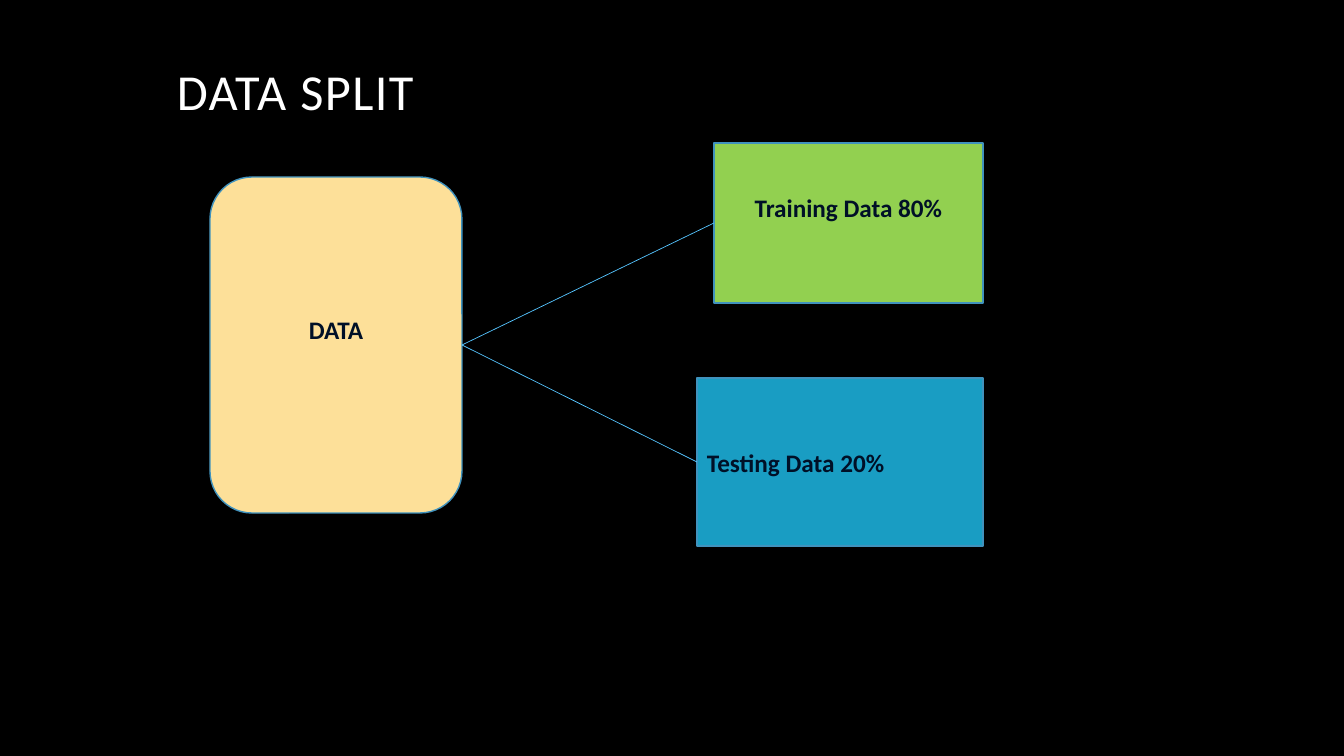
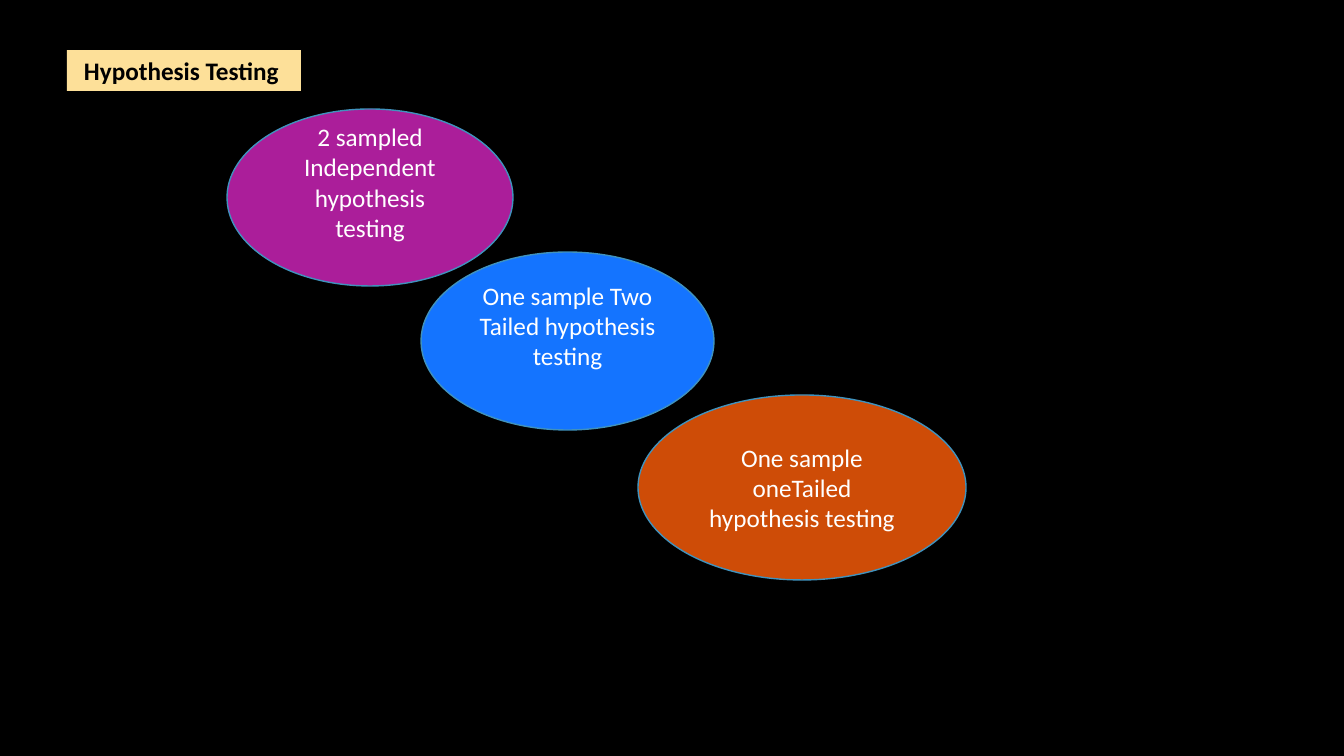
from pptx import Presentation
from pptx.dml.color import RGBColor
from pptx.enum.shapes import MSO_CONNECTOR, MSO_SHAPE
from pptx.enum.text import MSO_ANCHOR, MSO_AUTO_SIZE, PP_ALIGN
from pptx.oxml.ns import qn
from pptx.util import Emu, Pt

EMU_PER_PX = 914400 / 100.8
FONT = "Calibri"
BLACK, WHITE, INK = "000000", "FFFFFF", "001027"
CREAM, GREEN, TEAL = "FDE099", "92D050", "199DC3"
PURPLE, BLUE, ORANGE = "AB1E9A", "1474FF", "CE4C07"
OUTLINE, LINK = "4092BD", "56C5FF"
TITLE_ONLY = 5
LEFT, RIGHT = 1, 3
RAISED = 36  # bottom inset that lifts a label by half a line


def px(length):
    return Emu(round(length * EMU_PER_PX))


def rgb(color):
    return RGBColor.from_string(color)


def paint(target, color):
    target.fill.solid()
    target.fill.fore_color.rgb = rgb(color)


def write(shape, text, size=18, color=WHITE, bold=False, align=PP_ALIGN.CENTER,
          anchor=MSO_ANCHOR.MIDDLE, wrap=True, insets=(10, 5, 10, 5),
          line_spacing=None, tracking=None):
    """Fill a shape with one paragraph; insets run left, top, right, bottom."""
    frame = shape.text_frame
    frame.auto_size = MSO_AUTO_SIZE.NONE
    frame.word_wrap = wrap
    frame.vertical_anchor = anchor
    (frame.margin_left, frame.margin_top,
     frame.margin_right, frame.margin_bottom) = map(px, insets)
    paragraph = frame.paragraphs[0]
    paragraph.alignment = align
    paragraph.line_spacing = line_spacing
    run = paragraph.add_run()
    run.text = text
    run.font.name = FONT
    run.font.size = Pt(size)
    run.font.bold = bold
    run.font.color.rgb = rgb(color)
    if tracking:
        run.font._element.set("spc", str(tracking * 100))


def add_titled_slide(prs, title, box, fill=None, **text_format):
    slide = prs.slides.add_slide(prs.slide_layouts[TITLE_ONLY])
    heading = slide.shapes.title
    heading.left, heading.top, heading.width, heading.height = map(px, box)
    if fill:
        paint(heading, fill)
    write(heading, title, align=PP_ALIGN.LEFT, **text_format)
    return slide


def add_node(slide, kind, box, fill, text, **text_format):
    node = slide.shapes.add_shape(kind, *map(px, box))
    node.shadow.inherit = False
    paint(node, fill)
    node.line.color.rgb = rgb(OUTLINE)
    node.line.width = Pt(1)
    write(node, text, **text_format)
    return node


def link(slide, source, target):
    line = slide.shapes.add_connector(MSO_CONNECTOR.STRAIGHT, 0, 0, 0, 0)
    line.begin_connect(source, RIGHT)
    line.end_connect(target, LEFT)
    line.line.color.rgb = rgb(LINK)
    line.line.width = Pt(0.5)
    properties = line._element.spPr
    properties.append(properties.makeelement(qn("a:effectLst"), {}))


def add_split_diagram(slide, left, top):
    label = {"color": INK, "bold": True}
    raised = {**label, "insets": (10, 5, 10, RAISED)}
    training = add_node(slide, MSO_SHAPE.RECTANGLE, (left + 504, top, 269, 160),
                        GREEN, "Training Data 80%", **raised)
    testing = add_node(slide, MSO_SHAPE.RECTANGLE, (left + 487, top + 235, 286, 168),
                       TEAL, "Testing Data 20%", align=PP_ALIGN.LEFT, **label)
    data = add_node(slide, MSO_SHAPE.ROUNDED_RECTANGLE, (left, top + 34, 252, 336),
                    CREAM, "DATA", **raised)
    for part in (testing, training):
        link(slide, data, part)


def add_test_cascade(slide, left, top):
    step_down = 143
    tests = [
        (0, 286, 177, PURPLE, "2 sampled Independent hypothesis testing", RAISED),
        (194, 293, 178, BLUE, "One sample Two Tailed hypothesis testing", RAISED),
        (411, 328, 185, ORANGE, "One sample oneTailed hypothesis testing", 5),
    ]
    for row, (shift, width, height, fill, name, bottom) in enumerate(tests):
        box = (left + shift, top + row * step_down, width, height)
        add_node(slide, MSO_SHAPE.OVAL, box, fill, name, insets=(10, 5, 10, bottom))


def main():
    prs = Presentation()
    prs.slide_width, prs.slide_height = px(1344), px(756)
    paint(prs.slide_master.background, BLACK)

    split = add_titled_slide(prs, "DATA SPLIT", (167, 42, 1008, 84), size=36,
                             anchor=MSO_ANCHOR.BOTTOM, line_spacing=0.9, tracking=1)
    add_split_diagram(split, 210, 143)

    testing = add_titled_slide(prs, "Hypothesis Testing", (67, 50, 234, 41), fill=CREAM,
                               color=BLACK, bold=True, anchor=MSO_ANCHOR.TOP,
                               wrap=False, insets=(17, 5, 10, 5))
    add_test_cascade(testing, 227, 109)

    prs.save("out.pptx")


if __name__ == "__main__":
    main()
